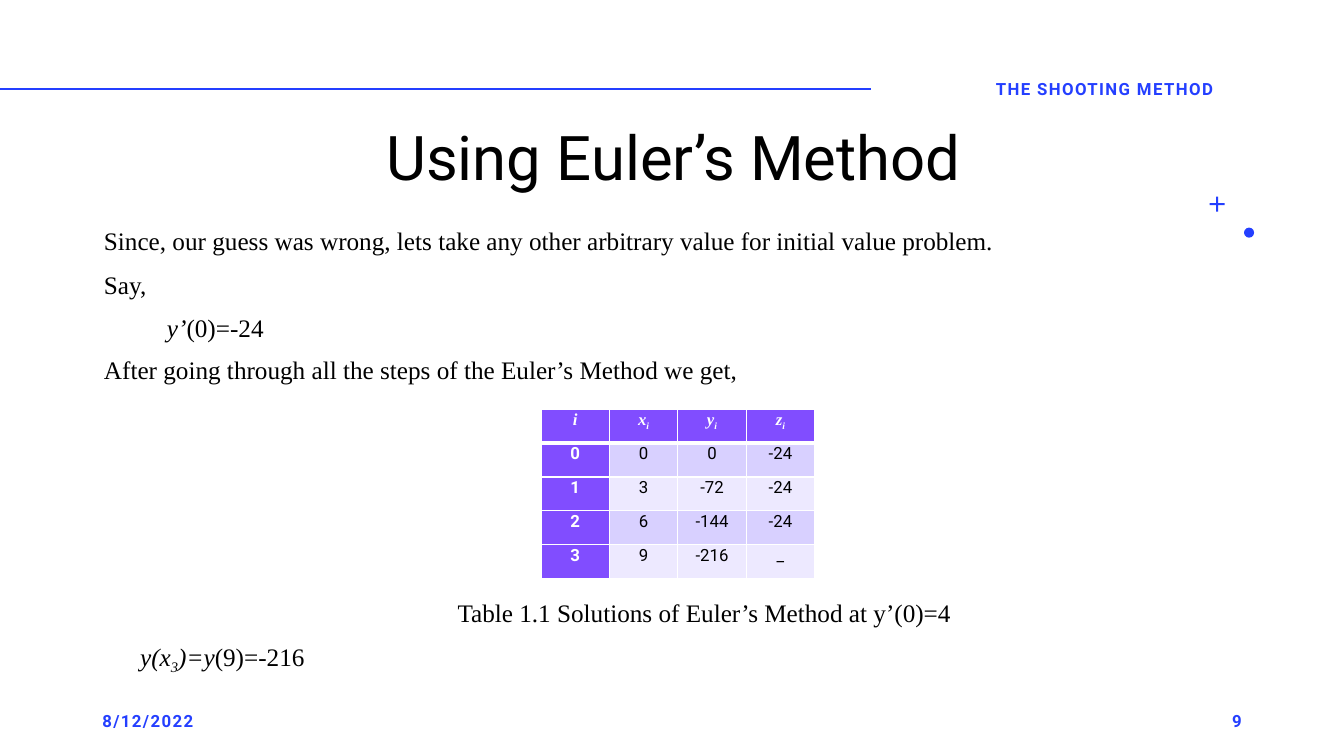
from dataclasses import dataclass

from lxml import etree
from pptx import Presentation, util as u
from pptx.dml.color import RGBColor
from pptx.enum import shapes, text
from pptx.oxml import ns

LEFT, CENTER, RIGHT = text.PP_ALIGN.LEFT, text.PP_ALIGN.CENTER, text.PP_ALIGN.RIGHT
TOP, MIDDLE, BOTTOM = text.MSO_ANCHOR.TOP, text.MSO_ANCHOR.MIDDLE, text.MSO_ANCHOR.BOTTOM
COLUMNS, ROWS = 16, 9


@dataclass(frozen=True)
class Theme:
    accent: str = "243FFF"
    ink: str = "000000"
    paper: str = "FFFFFF"
    header: str = "814DFF"
    bands: tuple = ("D8D0FF", "EDE9FF")
    sans: str = "Roboto"
    serif: str = "Times New Roman"
    title_size: int = 44
    body_size: int = 18
    small_size: int = 12
    line_spacing: float = 1.07
    space_after: int = 8


class SlideBuilder:
    def __init__(self, presentation, theme):
        self.theme = theme
        self.column = presentation.slide_width / COLUMNS
        self.row = presentation.slide_height / ROWS
        self.slide = presentation.slides.add_slide(presentation.slide_layouts[5])

    def box(self, left, top, width, height):
        """Turn grid columns and rows into slide lengths."""
        return (round(left * self.column), round(top * self.row),
                round(width * self.column), round(height * self.row))

    def set_text(self, paragraph, runs, size, face, color, bold=False, align=LEFT, spacing=None):
        """Fill a paragraph with (text, marks) runs; marks: i italic, s subscript, w wide."""
        paragraph.alignment = align
        paragraph.line_spacing = spacing
        font = paragraph.font
        font.size, font.name, font.bold = u.Pt(size), face, bold
        font.color.rgb = RGBColor.from_string(color)
        for words, marks in runs:
            run = paragraph.add_run()
            run.text = words
            if "i" in marks:
                run.font.italic = True
            properties = run._r.get_or_add_rPr()
            if "s" in marks:
                properties.set("baseline", "-25000")
            if "w" in marks:
                properties.set("spc", "100")

    def title(self, words, *place):
        shape = self.slide.shapes.title
        shape.left, shape.top, shape.width, shape.height = self.box(*place)
        frame = shape.text_frame
        frame.auto_size, frame.vertical_anchor = text.MSO_AUTO_SIZE.NONE, BOTTOM
        self.set_text(frame.paragraphs[0], [(words, "")], self.theme.title_size,
                      self.theme.sans, self.theme.ink, align=CENTER, spacing=0.9)

    def text_frame(self, place, anchor):
        frame = self.slide.shapes.add_textbox(*self.box(*place)).text_frame
        frame.word_wrap, frame.vertical_anchor = True, anchor
        return frame

    def label(self, words, *place, align=LEFT):
        frame = self.text_frame(place, MIDDLE)
        self.set_text(frame.paragraphs[0], [(words, "w")], self.theme.small_size,
                      self.theme.sans, self.theme.accent, bold=True, align=align)

    def body(self, lines, *place):
        """Add serif paragraphs given as (runs, alignment, first-line indent in columns)."""
        frame = self.text_frame(place, TOP)
        for index, (runs, align, indent) in enumerate(lines):
            paragraph = frame.add_paragraph() if index else frame.paragraphs[0]
            self.set_text(paragraph, runs, self.theme.body_size, self.theme.serif,
                          self.theme.ink, align=align, spacing=self.theme.line_spacing)
            paragraph.space_after = u.Pt(self.theme.space_after)
            properties = paragraph._p.get_or_add_pPr()
            properties.set("marL", "0")
            properties.set("indent", str(round(indent * self.column)))
        return frame

    def rule(self, left, right, top, points):
        start, level, length, _ = self.box(left, top, right - left, 0)
        line = self.slide.shapes.add_connector(
            shapes.MSO_CONNECTOR.STRAIGHT, start, level, start + length, level)
        line.line.color.rgb = RGBColor.from_string(self.theme.accent)
        line.line.width = u.Pt(points)
        etree.SubElement(line._element.spPr, ns.qn("a:effectLst"))

    def ornament(self, kind, *place):
        shape = self.slide.shapes.add_shape(kind, *self.box(*place))
        shape.shadow.inherit = False
        shape.fill.solid()
        shape.fill.fore_color.rgb = RGBColor.from_string(self.theme.accent)
        shape.line.fill.background()
        return shape

    def borders(self, cell, widths):
        properties = cell._tc.get_or_add_tcPr()
        for position, (side, points) in enumerate(widths.items()):
            line = etree.Element(ns.qn(f"a:ln{side}"), w=str(u.Pt(points)))
            fill = etree.SubElement(line, ns.qn("a:solidFill"))
            etree.SubElement(fill, ns.qn("a:srgbClr"), val=self.theme.paper)
            properties.insert(position, line)

    def table(self, headings, values, *place):
        """Add a table with a filled header row and first column, and banded values."""
        theme = self.theme
        grid = [headings] + [[[(value, "")] for value in row] for row in values]
        table = self.slide.shapes.add_table(len(grid), len(headings), *self.box(*place)).table
        table.first_row = table.horz_banding = False
        for r, row in enumerate(grid):
            for c, runs in enumerate(row):
                cell = table.cell(r, c)
                strong = r == 0 or c == 0
                cell.margin_left = cell.margin_right = round(0.08 * self.column)
                cell.margin_top = cell.margin_bottom = 0
                cell.fill.solid()
                cell.fill.fore_color.rgb = RGBColor.from_string(
                    theme.header if strong else theme.bands[(r - 1) % 2])
                self.borders(cell, {"L": 1, "R": 1, "T": 3 if r == 1 else 1,
                                    "B": 3 if r == 0 else 1})
                self.set_text(cell.text_frame.paragraphs[0], runs, theme.small_size,
                              theme.sans if r else theme.serif,
                              theme.paper if strong else theme.ink,
                              bold=strong, align=CENTER, spacing=theme.line_spacing)


def main():
    presentation = Presentation()
    presentation.slide_width, presentation.slide_height = u.Inches(13.33), u.Inches(7.5)
    builder = SlideBuilder(presentation, Theme())

    builder.rule(0, 10.37, 1.06, 2)
    builder.ornament(shapes.MSO_SHAPE.OVAL, 14.81, 2.71, 0.12, 0.12)
    plus = builder.ornament(shapes.MSO_SHAPE.CROSS, 14.4, 2.34, 0.18, 0.18)
    plus.adjustments[0] = 0.43

    builder.title("Using Euler’s Method", 1.12, 0.82, 13.8, 1.55)
    builder.label("8/12/2022", 1.1, 8.34, 3.6, 0.48)
    builder.label("THE SHOOTING METHOD", 10.45, 0.82, 5.4, 0.48, align=CENTER)
    builder.label("9", 11.3, 8.34, 3.6, 0.48, align=RIGHT)

    guess = builder.body([
        ([("Since, our guess was wrong, lets take any other arbitrary value "
           "for initial value problem.", "")], LEFT, 0),
        ([("Say,", "")], LEFT, 0),
        ([("y’", "i"), ("(0)=-24", "")], LEFT, 0.75),
        ([("After going through all the steps of the Euler’s Method we get,", "")], LEFT, 0),
    ], 1.12, 2.6, 14.1, 2.42)
    guess.paragraphs[-1].line_spacing = 1.0

    headings = [[("i", "i")]] + [[(name, "i"), ("i", "is")] for name in "xyz"]
    builder.table(headings, [
        ("0", "0", "0", "-24"),
        ("1", "3", "-72", "-24"),
        ("2", "6", "-144", "-24"),
        ("3", "9", "-216", "_"),
    ], 6.44, 4.87, 3.26, 2.02)

    builder.body([
        ([("Table 1.1 Solutions of Euler’s Method at y’(0)=4", "")], CENTER, 0.6),
        ([("y(x", "i"), ("3", "is"), (")=y", "i"), ("(9)=-216", "")], LEFT, 0.6),
    ], 0.95, 7.03, 14.27, 1.54)

    presentation.save("out.pptx")


if __name__ == "__main__":
    main()
